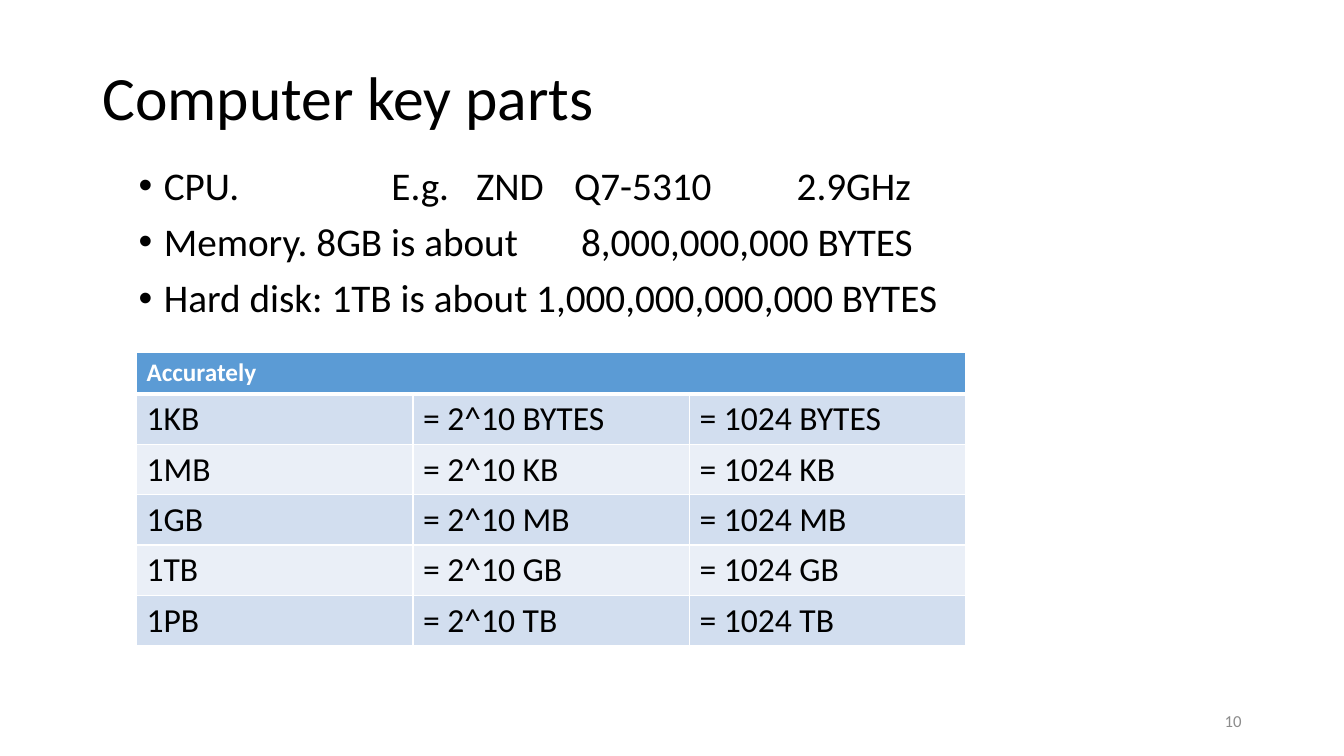
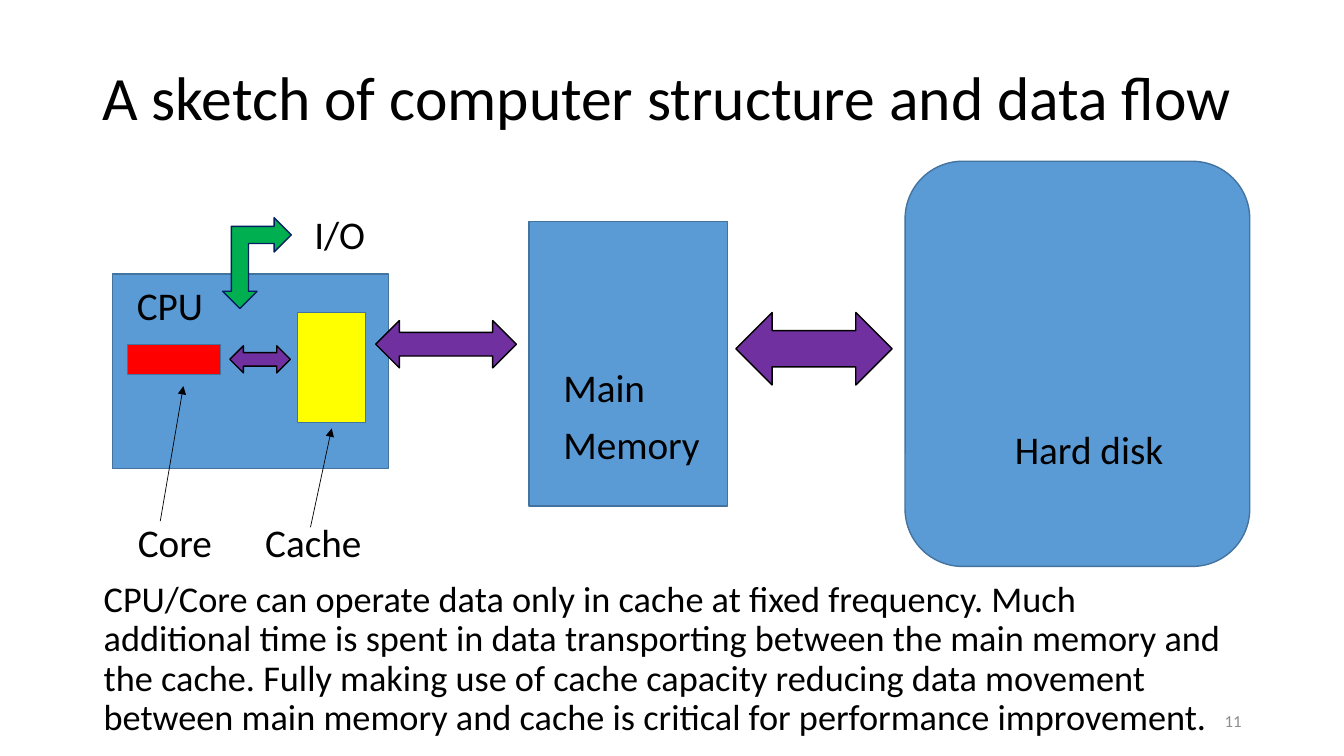
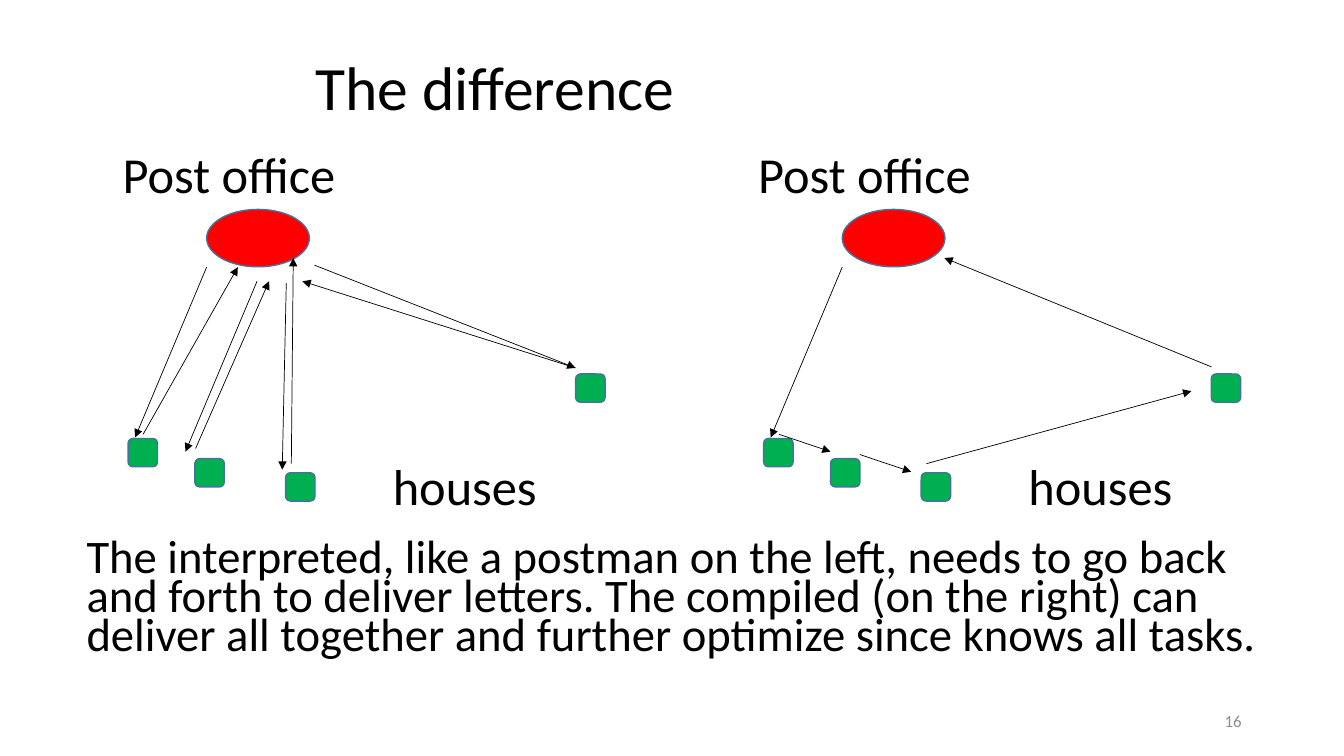
"""Build three lecture slides on computer parts, data flow and compilation."""
from dataclasses import dataclass
from typing import NamedTuple

from lxml import etree
from pptx import Presentation, util as u
from pptx.dml.color import RGBColor
from pptx.enum import shapes, text
from pptx.oxml import ns

FONT = "Calibri"
BLACK, WHITE, GREY = "000000", "FFFFFF", "8C8C8C"
BLUE, EDGE, NAVY = "5B9BD5", "43739E", "002060"
RED, YELLOW, GREEN, PURPLE = "FF0000", "FFFF00", "00B050", "7030A0"
BANDS = ("D2DEEF", "EAEFF7")
Kind = shapes.MSO_SHAPE


class Box(NamedTuple):
    """A rectangle in points."""
    left: float
    top: float
    width: float
    height: float

    def shifted(self, dx: float) -> "Box":
        """Return the box moved to the right."""
        return self._replace(left=self.left + dx)

    def lengths(self) -> tuple:
        """Return the four values as lengths."""
        return tuple(u.Pt(value) for value in self)


class Arrow(NamedTuple):
    """A straight arrow from one point to another."""
    x1: float
    y1: float
    x2: float
    y2: float


@dataclass(frozen=True)
class Label:
    """Text in a box; stops holds tab positions for each line."""
    box: Box
    lines: tuple[str, ...]
    size: float = 28
    color: str = BLACK
    spacing: float = 0.9
    before: float = 10
    bullets: bool = False
    middle: bool = False
    right: bool = False
    stops: tuple[tuple[float, ...], ...] = ()


@dataclass(frozen=True)
class Part:
    """A filled preset shape."""
    kind: Kind
    box: Box
    fill: str = BLUE
    line: str = EDGE
    turn: float = 0


def rgb(color: str) -> RGBColor:
    """Turn a hex string into a colour."""
    return RGBColor.from_string(color)


def add_child(parent, tag: str, **attributes: str):
    """Append a drawing element with attributes."""
    return etree.SubElement(parent, ns.qn(tag), attributes)


def emu(points: float) -> str:
    """Give a length in points as an XML value."""
    return str(int(u.Pt(points)))


def style_font(font, size: float, color: str, bold: bool = False) -> None:
    """Set the face, size, weight and colour of a font."""
    font.name, font.size, font.bold = FONT, u.Pt(size), bold
    font.color.rgb = rgb(color)


def add_label(page, label: Label) -> None:
    """Draw a text box."""
    frame = page.shapes.add_textbox(*label.box.lengths()).text_frame
    frame.word_wrap = True
    if label.middle:
        frame.vertical_anchor = text.MSO_ANCHOR.MIDDLE
    for index, line in enumerate(label.lines):
        para = frame.add_paragraph() if index else frame.paragraphs[0]
        para.add_run().text = line
        para.line_spacing = label.spacing
        para.space_before = u.Pt(label.before)
        if label.right:
            para.alignment = text.PP_ALIGN.RIGHT
        props = para._p.get_or_add_pPr()
        if label.bullets:
            props.set("marL", emu(18))
            props.set("indent", emu(-18))
            add_child(props, "a:buFont", typeface="Arial")
            add_child(props, "a:buChar", char="•")
        if label.stops and label.stops[index]:
            tabs = add_child(props, "a:tabLst")
            for stop in label.stops[index]:
                add_child(tabs, "a:tab", pos=emu(stop), algn="l")
        style_font(para.font, label.size, label.color)


def add_part(page, part: Part) -> None:
    """Draw a preset shape."""
    shape = page.shapes.add_shape(part.kind, *part.box.lengths())
    shape.shadow.inherit = False
    shape.rotation = part.turn
    shape.fill.solid()
    shape.fill.fore_color.rgb = rgb(part.fill)
    shape.line.color.rgb = rgb(part.line)
    shape.line.width = u.Pt(1)


def add_arrow(page, arrow: Arrow, dx: float = 0) -> None:
    """Draw a thin arrow, moved right by dx."""
    ends = (arrow.x1 + dx, arrow.y1, arrow.x2 + dx, arrow.y2)
    line = page.shapes.add_connector(
        shapes.MSO_CONNECTOR.STRAIGHT, *(u.Pt(end) for end in ends))
    line.line.color.rgb = rgb(BLACK)
    line.line.width = u.Pt(0.5)
    add_child(line.line._get_or_add_ln(), "a:tailEnd", type="triangle")
    add_child(line._element.spPr, "a:effectLst")


def style_cell(cell, row: int) -> None:
    """Fill a table cell and give it white borders."""
    cell.fill.solid()
    cell.fill.fore_color.rgb = rgb(BANDS[(row - 1) % 2] if row else BLUE)
    props = cell._tc.get_or_add_tcPr()
    for place, side in enumerate("LRTB"):
        heavy = (row, side) in ((0, "B"), (1, "T"))
        border = add_child(props, f"a:ln{side}", w=emu(3 if heavy else 1))
        add_child(add_child(border, "a:solidFill"), "a:srgbClr", val=WHITE)
        props.insert(place, border)


def add_units_table(page, box: Box, heading: str, rows: list) -> None:
    """Draw a banded table under one merged heading."""
    frame = page.shapes.add_table(len(rows) + 1, 3, *box.lengths())
    table = frame.table
    for index, values in enumerate([(heading, "", ""), *rows]):
        for column, value in enumerate(values):
            cell = table.cell(index, column)
            style_cell(cell, index)
            if value:
                cell.text = value
                style_font(cell.text_frame.paragraphs[0].font,
                           24 if index else 18,
                           BLACK if index else WHITE, not index)
    table.cell(0, 0).merge(table.cell(0, 2))


def add_page(deck, title: str, number: int, box: Box):
    """Add a blank slide with its title and page number."""
    page = deck.slides.add_slide(deck.slide_layouts[6])
    add_label(page, Label(box, (title,), size=44, before=0, middle=True))
    add_label(page, Label(Box(678, 500.5, 216, 28.75), (str(number),), size=12,
                          color=GREY, spacing=1, before=0, middle=True,
                          right=True))
    return page


def build_key_parts(deck) -> None:
    """Slide with the key parts and the memory units."""
    page = add_page(deck, "Computer key parts", 10, Box(66, 19.5, 690, 104.4))
    add_label(page, Label(
        Box(92, 115.2, 626.4, 154.8),
        ("CPU.\tE.g.\tZND\tQ7-5310\t2.9GHz",
         "Memory. 8GB is about\t8,000,000,000 BYTES",
         "Hard disk: 1TB is about 1,000,000,000,000 BYTES"),
        bullets=True, stops=((180.5, 241, 311, 470), (316,), ())))
    units = ("BYTES", "KB", "MB", "GB", "TB", "PB")
    rows = [(f"1{unit}", f"= 2^10 {smaller}", f"= 1024 {smaller}")
            for smaller, unit in zip(units, units[1:])]
    add_units_table(page, Box(97.5, 252, 592.5, 175.2), "Accurately", rows)


def build_structure(deck) -> None:
    """Slide with the sketch of processor, memory and disk."""
    page = add_page(deck, "A sketch of computer structure and data flow", 11,
                    Box(66, 19.5, 828, 104.4))
    double = Kind.LEFT_RIGHT_ARROW
    disk = Part(Kind.ROUNDED_RECTANGLE, Box(646.5, 115.2, 246.2, 289.4))
    memory = Part(Kind.RECTANGLE, Box(378, 158.4, 141.8, 203))
    processor = Part(Kind.RECTANGLE, Box(80.5, 195.8, 196.8, 139))
    core = Part(Kind.RECTANGLE, Box(91.2, 246.2, 66.2, 21.4), RED)
    cache = Part(Kind.RECTANGLE, Box(212.4, 223.2, 48.8, 78.5), YELLOW)
    disk_flow = Part(double, Box(525.6, 223.2, 111.6, 51.8), PURPLE, BLACK)
    memory_flow = Part(double, Box(268.4, 229, 100.4, 33.8), PURPLE, BLACK)
    core_flow = Part(double, Box(164.2, 247, 43.2, 19.4), PURPLE, BLACK)
    io_flow = Part(Kind.LEFT_UP_ARROW, Box(159.1, 155.5, 49, 64.8),
                   GREEN, NAVY, turn=180)
    for part in (disk, memory, processor, core, cache,
                 disk_flow, memory_flow, core_flow, io_flow):
        add_part(page, part)
    for label in (
        Label(Box(717.8, 303.8, 135.4, 45.4), ("Hard disk",)),
        Label(Box(395.3, 260, 135.4, 134), ("Main", "Memory")),
        Label(Box(90.7, 200.9, 73.4, 38.9), ("CPU",)),
        Label(Box(217.4, 150.5, 73.4, 38.9), ("I/O",)),
        Label(Box(91.4, 370.8, 239.8, 45.4), ("Core\tCache",),
              stops=((91,),)),
        Label(Box(67, 411.8, 813.6, 132.5), (
            "CPU/Core can operate data only in cache at fixed frequency. Much "
            "additional time is spent in data transporting between the main "
            "memory and the cache. Fully making use of cache capacity "
            "reducing data movement between main memory and cache is critical "
            "for performance improvement.",), size=25.9),
    ):
        add_label(page, label)
    for pointer in (Arrow(114.5, 372.2, 131, 275.8),
                    Arrow(221.8, 376.6, 236.9, 306)):
        add_arrow(page, pointer)


def add_round(page, dx: float, trips: tuple[Arrow, ...]) -> None:
    """Draw a post office, four houses and the postman's trips."""
    add_label(page, Label(Box(80.5, 103.7, 191.5, 56.9).shifted(dx),
                          ("Post office",), size=36))
    add_label(page, Label(Box(273.5, 326.2, 191.5, 56.9).shifted(dx),
                          ("houses",), size=36))
    add_part(page, Part(Kind.OVAL, Box(147.6, 149.6, 73.4, 41).shifted(dx),
                        RED))
    for left, top in ((91.5, 313.2), (139.2, 327.6), (204, 337.7),
                      (411.2, 267.1)):
        add_part(page, Part(Kind.ROUNDED_RECTANGLE,
                            Box(left, top, 21, 20.2).shifted(dx), GREEN))
    for trip in trips:
        add_arrow(page, trip, dx)


def build_difference(deck) -> None:
    """Slide comparing interpreted and compiled delivery."""
    page = add_page(deck, "The difference", 16, Box(218.2, 12.2, 700.6, 104.4))
    first_trip = Arrow(147.6, 190.8, 96.5, 312.5)
    back_and_forth = (
        first_trip,
        Arrow(102.2, 310.3, 169.9, 190.8),
        Arrow(183.6, 200.9, 132.5, 322.6),
        Arrow(139.7, 320.4, 192.2, 200.9),
        Arrow(204.5, 202.3, 201.6, 335.5),
        Arrow(208.1, 331.2, 209.5, 184.3),
        Arrow(224.6, 189.4, 411.1, 262.8),
        Arrow(411.1, 262.8, 216, 200.9),
    )
    single_loop = (
        first_trip,
        Arrow(102.6, 310.3, 139.3, 322.6),
        Arrow(160.2, 324.7, 196.9, 337),
        Arrow(207.7, 331.2, 397, 279.4),
        Arrow(411.4, 262.1, 220.6, 184.3),
    )
    for index, trips in enumerate((back_and_forth, single_loop)):
        add_round(page, index * 454, trips)
    add_label(page, Label(Box(54.7, 383.8, 853.2, 94.3), (
        "The interpreted, like a postman on the left, needs to go back and "
        "forth to deliver letters. The compiled (on the right) can deliver "
        "all together and further optimize since knows all tasks.",),
        size=33.3, spacing=0.7))


def main() -> None:
    """Build and save the deck."""
    deck = Presentation()
    deck.slide_width, deck.slide_height = u.Pt(960), u.Pt(540)
    build_key_parts(deck)
    build_structure(deck)
    build_difference(deck)
    deck.save("out.pptx")


main()
